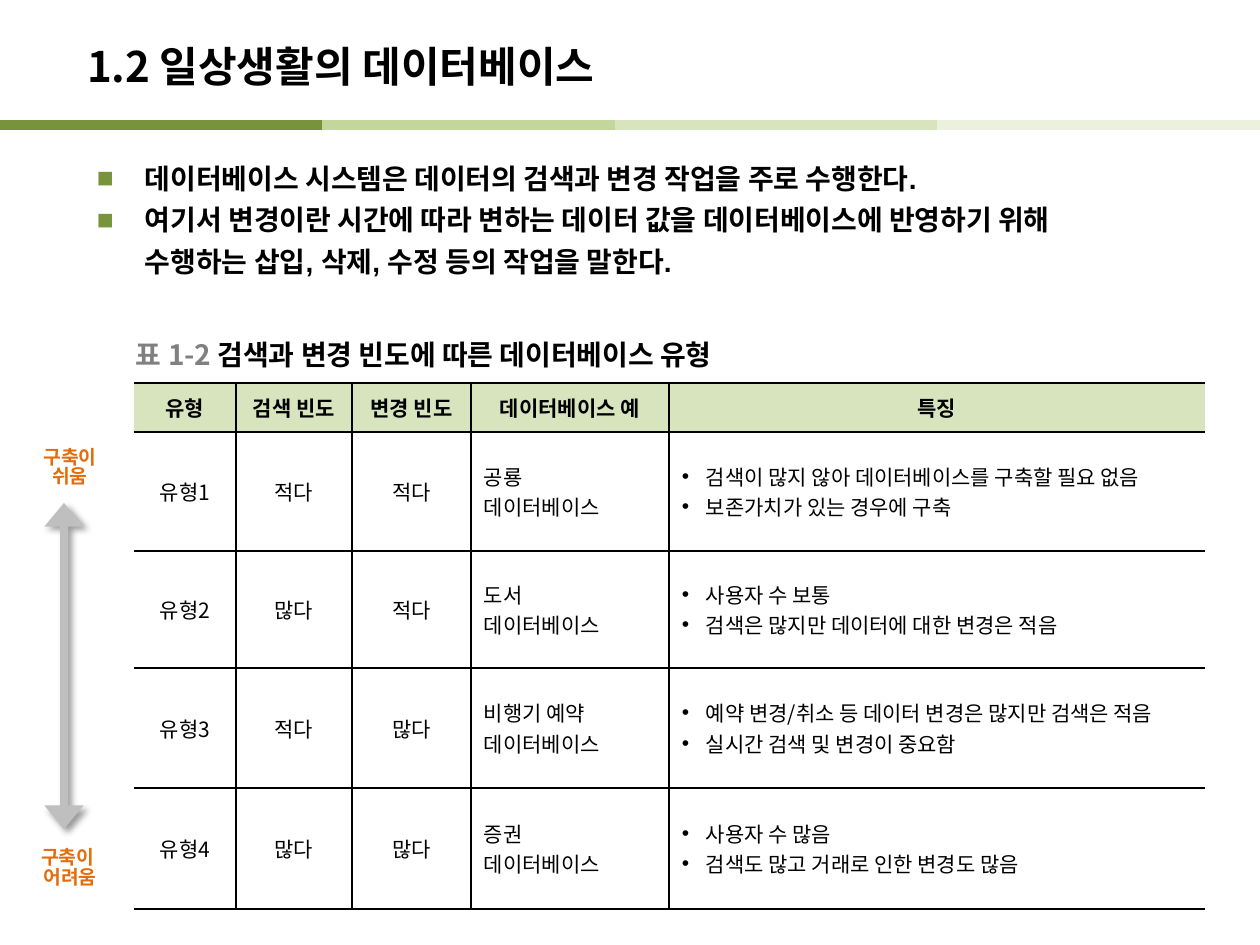
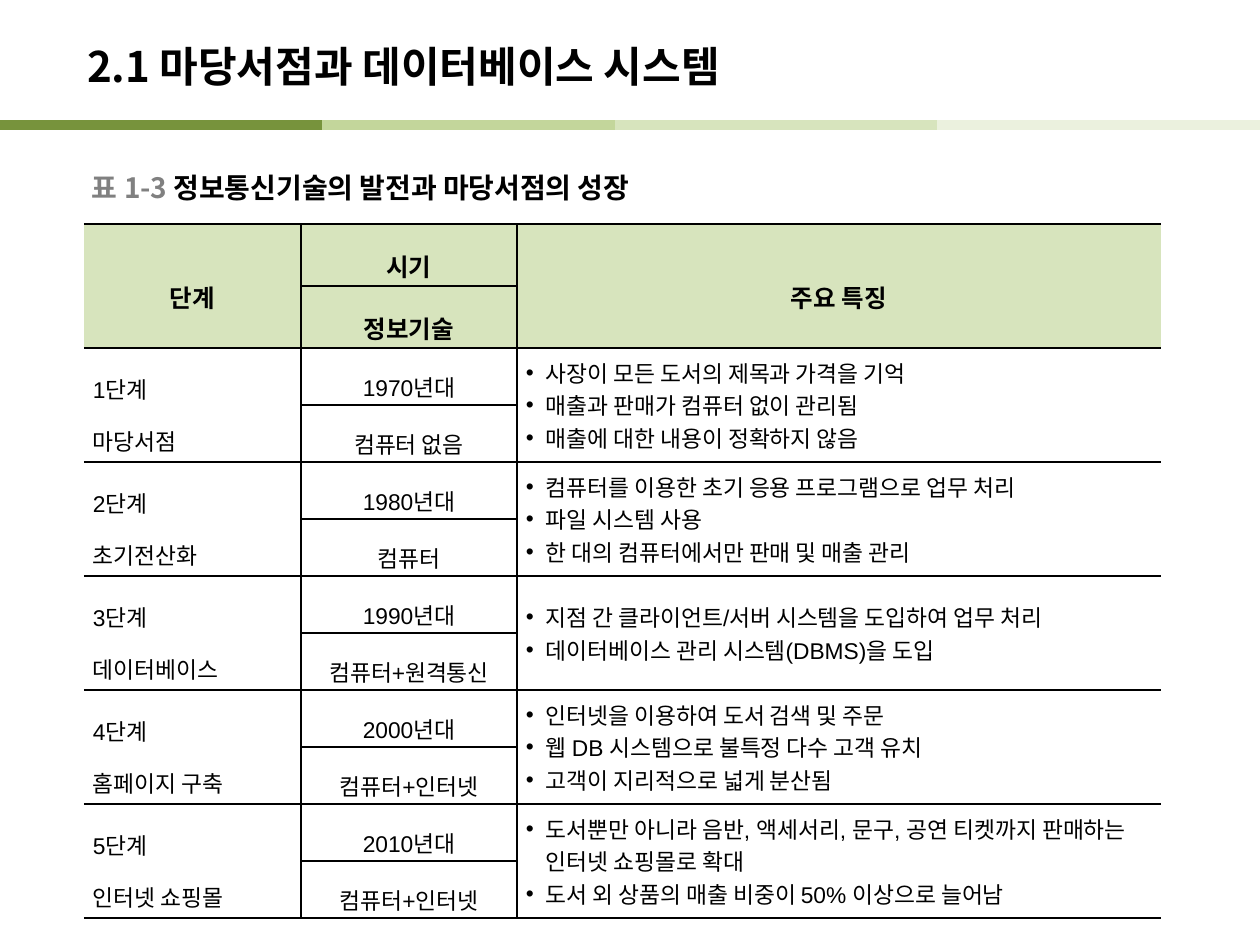
from lxml.etree import SubElement
from pptx import Presentation
from pptx.dml.color import RGBColor
from pptx.enum.shapes import MSO_CONNECTOR
from pptx.enum.text import MSO_ANCHOR as ANCHOR, PP_ALIGN as ALIGN
from pptx.oxml import parse_xml
from pptx.oxml.ns import nsdecls, qn
from pptx.util import Emu, Pt

EMU_PER_PX = 914400 / 126
BLACK = RGBColor(0x00, 0x00, 0x00)
WHITE = RGBColor(0xFF, 0xFF, 0xFF)
GRAY = RGBColor(0x80, 0x80, 0x80)
SILVER = RGBColor(0xBF, 0xBF, 0xBF)
ORANGE = RGBColor(0xE4, 0x6C, 0x0A)
GREEN = RGBColor(0x77, 0x93, 0x3C)
LIGHT_GREEN = RGBColor(0xC3, 0xD6, 0x9B)
PALE_GREEN = RGBColor(0xD7, 0xE4, 0xBD)
FAINT_GREEN = RGBColor(0xEB, 0xF1, 0xDE)
NOTO, ARIAL = "Noto Sans CJK KR", "Arial"

BANDS = [
    (292, 615, LIGHT_GREEN),
    (615, 937, PALE_GREEN),
    (937, 1260, FAINT_GREEN),
    (0, 322, GREEN),
]

FREQUENCY_HEAD = ["유형", "검색 빈도", "변경 빈도", "데이터베이스 예", "특징"]
FREQUENCY_ROWS = [
    ("유형1", "적다", "적다", "공룡",
     ["검색이 많지 않아 데이터베이스를 구축할 필요 없음", "보존가치가 있는 경우에 구축"]),
    ("유형2", "많다", "적다", "도서",
     ["사용자 수 보통", "검색은 많지만 데이터에 대한 변경은 적음"]),
    ("유형3", "적다", "많다", "비행기 예약",
     ["예약 변경/취소 등 데이터 변경은 많지만 검색은 적음", "실시간 검색 및 변경이 중요함"]),
    ("유형4", "많다", "많다", "증권",
     ["사용자 수 많음", "검색도 많고 거래로 인한 변경도 많음"]),
]
GROWTH_STAGES = [
    ("마당서점", "컴퓨터 없음",
     ["사장이 모든 도서의 제목과 가격을 기억", "매출과 판매가 컴퓨터 없이 관리됨",
      "매출에 대한 내용이 정확하지 않음"]),
    ("초기전산화", "컴퓨터",
     ["컴퓨터를 이용한 초기 응용 프로그램으로 업무 처리", "파일 시스템 사용",
      "한 대의 컴퓨터에서만 판매 및 매출 관리"]),
    ("데이터베이스", "컴퓨터+원격통신",
     ["지점 간 클라이언트/서버 시스템을 도입하여 업무 처리",
      "데이터베이스 관리 시스템(DBMS)을 도입"]),
    ("홈페이지 구축", "컴퓨터+인터넷",
     ["인터넷을 이용하여 도서 검색 및 주문", "웹 DB 시스템으로 불특정 다수 고객 유치",
      "고객이 지리적으로 넓게 분산됨"]),
    ("인터넷 쇼핑몰", "컴퓨터+인터넷",
     ["도서뿐만 아니라 음반, 액세서리, 문구, 공연 티켓까지 판매하는 인터넷 쇼핑몰로 확대",
      "도서 외 상품의 매출 비중이 50% 이상으로 늘어남"]),
]


def px(n):
    return Emu(round(n * EMU_PER_PX))


class Deck:
    def __init__(self):
        self.prs = Presentation()
        self.prs.slide_width, self.prs.slide_height = px(1260), px(945)

    def slide(self, title):
        self.s = self.prs.slides.add_slide(self.prs.slide_layouts[6])
        for x1, x2, color in BANDS:
            self.line(x1, 125, x2, 125, color, 6)
        self.para(self.box(87, 28, 1017, 76), [(title, BLACK)], 24, bold=True)

    def line(self, x1, y1, x2, y2, color, width):
        c = self.s.shapes.add_connector(
            MSO_CONNECTOR.STRAIGHT, px(x1), px(y1), px(x2), px(y2))
        c.line.color.rgb = color
        c.line.width = Pt(width)
        SubElement(c._element.spPr, qn("a:effectLst"))
        return c

    def double_arrow(self, x1, y1, x2, y2, color, width):
        c = self.line(x1, y1, x2, y2, color, width)
        ln = c.line._get_or_add_ln()
        for end in ("a:headEnd", "a:tailEnd"):
            SubElement(ln, qn(end), type="triangle", w="lg", len="med")
        c._element.spPr.find(qn("a:effectLst")).append(parse_xml(
            f'<a:outerShdw {nsdecls("a")} blurRad="50800" dist="38100" dir="2700000" '
            'algn="tl" rotWithShape="0"><a:srgbClr val="000000">'
            '<a:alpha val="40000"/></a:srgbClr></a:outerShdw>'))

    def box(self, x, y, w, h, anchor=ANCHOR.MIDDLE):
        tf = self.s.shapes.add_textbox(px(x), px(y), px(w), px(h)).text_frame
        tf.word_wrap = True
        tf.vertical_anchor = anchor
        tf.margin_left = tf.margin_right = tf.margin_top = tf.margin_bottom = 0
        return tf

    def para(self, tf, runs, size, bold=False, font=NOTO, align=ALIGN.LEFT,
             spacing=1.0, bullet=None, indent=0, bullet_color=BLACK):
        p = tf.paragraphs[0]
        if p.runs:
            p = tf.add_paragraph()
        p.alignment = align
        p.line_spacing = spacing
        if bullet:
            pPr = p._p.get_or_add_pPr()
            pPr.set("marL", str(px(indent)))
            pPr.set("indent", str(-px(indent)))
            SubElement(SubElement(pPr, qn("a:buClr")), qn("a:srgbClr"), val=str(bullet_color))
            SubElement(pPr, qn("a:buFont"), typeface=ARIAL)
            SubElement(pPr, qn("a:buChar"), char=bullet)
        for text, color in runs:
            for i, part in enumerate(text.split("\n")):
                if i:
                    p.add_line_break()
                r = p.add_run()
                r.text = part
                r.font.size, r.font.bold, r.font.name = Pt(size), bold, font
                r.font.color.rgb = color
                ea = SubElement(r._r.rPr, qn("a:ea"), typeface=NOTO)
                r._r.rPr.find(qn("a:latin")).addnext(ea)

    def caption(self, x, y, number, text):
        self.para(self.box(x, y, 640, 42), [(number, GRAY), (text, BLACK)], 16, bold=True)

    def label(self, x, y, w, h, lines):
        tf = self.box(x, y, w, h)
        for text in lines:
            self.para(tf, [(text, ORANGE)], 11, bold=True, align=ALIGN.CENTER, spacing=0.85)

    def table(self, x, y, cols, rows):
        tbl = self.s.shapes.add_table(
            len(rows), len(cols), px(x), px(y), px(sum(cols)), px(sum(rows))).table
        for col, w in zip(tbl.columns, cols):
            col.width = px(w)
        for row, h in zip(tbl.rows, rows):
            row.height = px(h)
        return tbl

    def style_cells(self, tbl, head_rows, margins=(13, 6)):
        last = len(tbl.columns) - 1
        for i, row in enumerate(tbl.rows):
            for j, cell in enumerate(row.cells):
                tcPr = cell._tc.get_or_add_tcPr()
                for side in "LRTB":
                    ln = SubElement(tcPr, qn(f"a:ln{side}"), w=str(Pt(1)))
                    if (side, j) in (("L", 0), ("R", last)):
                        SubElement(ln, qn("a:noFill"))
                    else:
                        fill = SubElement(ln, qn("a:solidFill"))
                        SubElement(fill, qn("a:srgbClr"), val=str(BLACK))
                cell.fill.solid()
                cell.fill.fore_color.rgb = PALE_GREEN if i < head_rows else WHITE
                cell.vertical_anchor = ANCHOR.MIDDLE
                cell.margin_left = cell.margin_right = px(margins[0])
                cell.margin_top = cell.margin_bottom = px(margins[1])

    def cell(self, tbl, row, col, lines, size, **style):
        for text in lines:
            self.para(tbl.cell(row, col).text_frame, [(text, BLACK)], size, **style)


def frequency_slide(deck):
    deck.slide("1.2 일상생활의 데이터베이스")
    deck.caption(136, 333, "표 1-2 ", "검색과 변경 빈도에 따른 데이터베이스 유형")

    tbl = deck.table(134, 383, [102, 116, 119, 198, 536], [49, 119, 117, 120, 121])
    deck.style_cells(tbl, 1)
    for j, text in enumerate(FREQUENCY_HEAD):
        deck.cell(tbl, 0, j, [text], 12, bold=True, align=ALIGN.CENTER)
    for i, (*levels, example, features) in enumerate(FREQUENCY_ROWS, 1):
        for j, text in enumerate(levels):
            deck.cell(tbl, i, j, [text], 12, align=ALIGN.CENTER)
        deck.cell(tbl, i, 3, [example, "데이터베이스"], 12)
        deck.cell(tbl, i, 4, features, 12, bullet="•", indent=24)

    body = deck.box(97, 154, 1117, 165, ANCHOR.TOP)
    for text in (
        "데이터베이스 시스템은 데이터의 검색과 변경 작업을 주로 수행한다.",
        "여기서 변경이란 시간에 따라 변하는 데이터 값을 데이터베이스에 반영하기 위해 \n"
        "수행하는 삽입, 삭제, 수정 등의 작업을 말한다.",
    ):
        deck.para(body, [(text, BLACK)], 16, bold=True, font=ARIAL, spacing=1.23,
                  bullet="■", indent=48, bullet_color=GREEN)

    deck.double_arrow(64, 503, 64, 829, SILVER, 4.5)
    deck.label(33, 435, 74, 66, ["구축이", "쉬움"])
    deck.label(33, 839, 74, 59, ["구축이 ", "어려움"])


def growth_slide(deck):
    deck.slide("2.1 마당서점과 데이터베이스 시스템")
    deck.caption(92, 166, "표 1-3 ", "정보통신기술의 발전과 마당서점의 성장")

    tbl = deck.table(84, 224, [217, 216, 644], [62] * 2 + [57] * 10)
    deck.style_cells(tbl, 2, (9, 2))
    for i in range(0, 12, 2):
        for j in (0, 2):
            tbl.cell(i, j).merge(tbl.cell(i + 1, j))

    head = dict(size=14, bold=True, align=ALIGN.CENTER, spacing=1.6)
    for i, j, text in ((0, 0, "단계"), (0, 1, "시기"), (1, 1, "정보기술"), (0, 2, "주요 특징")):
        deck.cell(tbl, i, j, [text], **head)

    plain = dict(size=13, font=ARIAL)
    for n, (stage, technology, features) in enumerate(GROWTH_STAGES, 1):
        i = 2 * n
        deck.cell(tbl, i, 0, [f"{n}단계", stage], spacing=1.6, **plain)
        for row, text in ((i, f"{1960 + 10 * n}년대"), (i + 1, technology)):
            deck.cell(tbl, row, 1, [text], align=ALIGN.CENTER, spacing=1.6, **plain)
        deck.cell(tbl, i, 2, features, bullet="•", indent=20, **plain)


def main():
    deck = Deck()
    frequency_slide(deck)
    growth_slide(deck)
    deck.prs.save("out.pptx")


if __name__ == "__main__":
    main()
